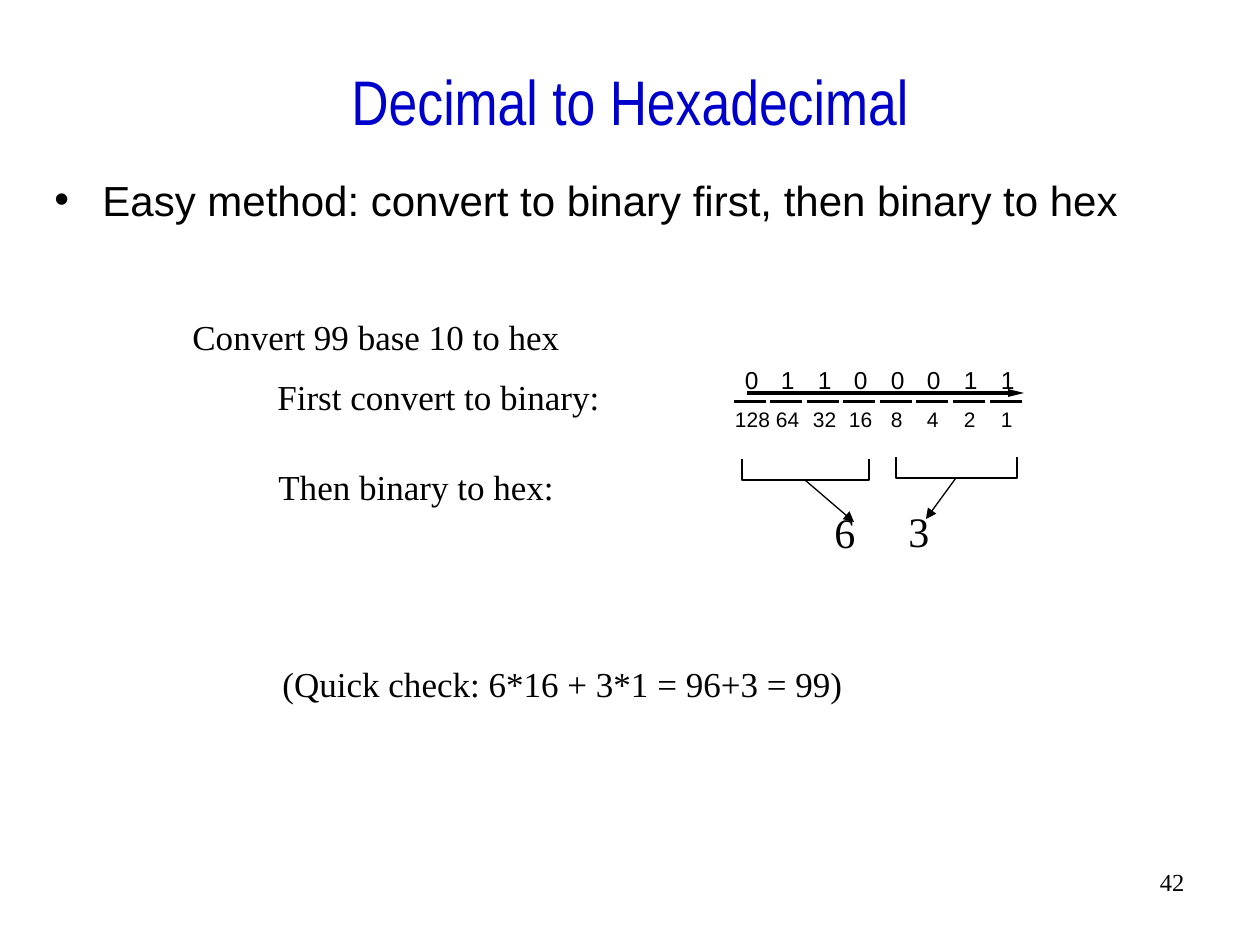
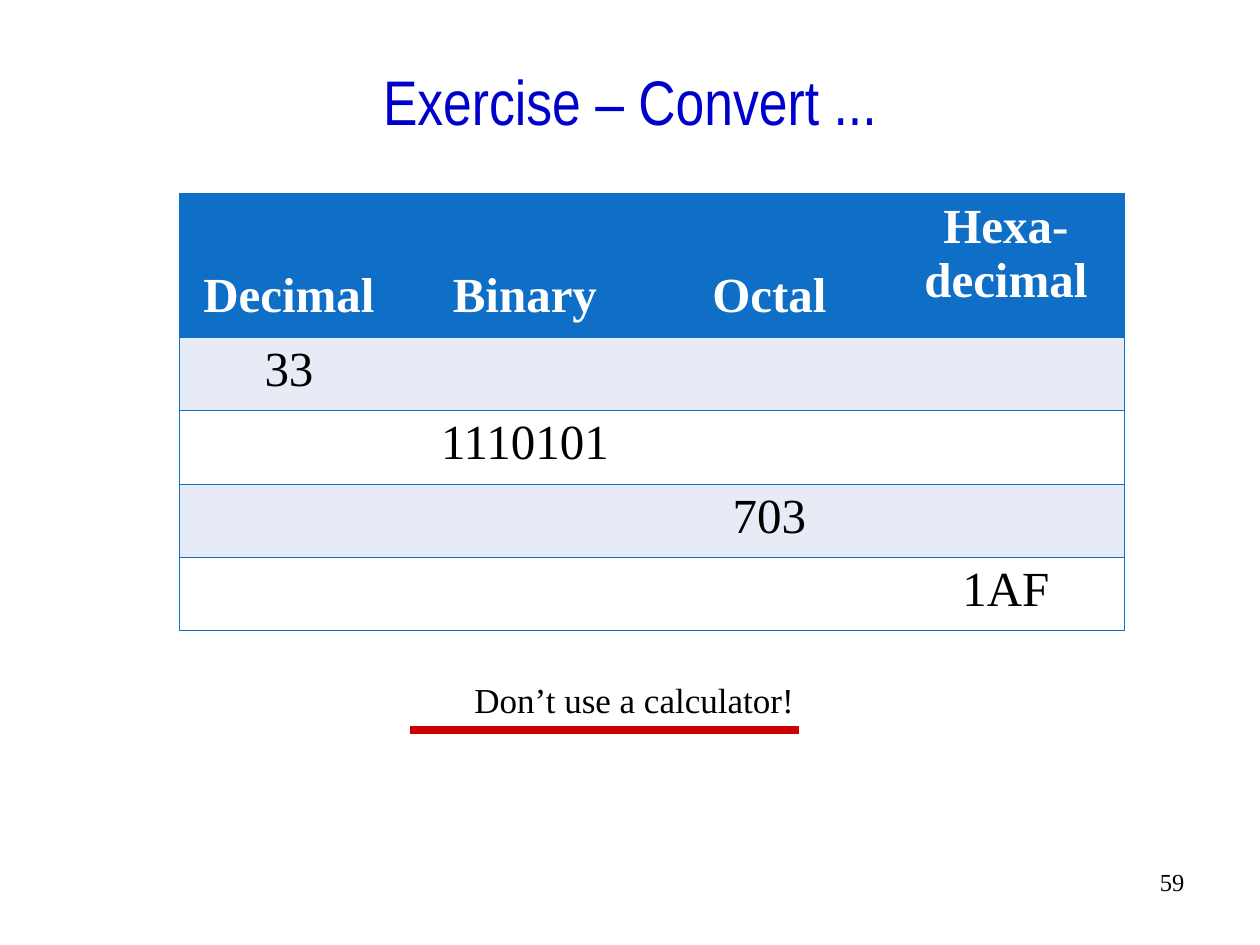
from lxml import etree
from pptx import Presentation
from pptx.dml.color import RGBColor
from pptx.enum.shapes import MSO_CONNECTOR
from pptx.enum.text import MSO_ANCHOR, MSO_AUTO_SIZE, PP_ALIGN
from pptx.oxml.ns import qn
from pptx.util import Emu, Pt

STRAIGHT = MSO_CONNECTOR.STRAIGHT
LEFT, CENTER, RIGHT = PP_ALIGN.LEFT, PP_ALIGN.CENTER, PP_ALIGN.RIGHT
MIDDLE, BOTTOM = MSO_ANCHOR.MIDDLE, MSO_ANCHOR.BOTTOM
FIT_SHAPE, NO_FIT = MSO_AUTO_SIZE.SHAPE_TO_FIT_TEXT, MSO_AUTO_SIZE.NONE

SCALE = 914400 / 126  # EMU in one px
TITLE_ONLY = 5
SERIF, SANS, NARROW = "Times New Roman", "Arial", "Arial Narrow"
COLORS = {
    "text": "000000",
    "title": "0000CC",
    "accent": "CC0000",
    "header": "0F6FC6",
    "header_text": "FFFFFF",
    "band": "E7EBF5",
    "plain": "FFFFFF",
}


def px(n):
    return Emu(round(n * SCALE))


def rgb(name):
    return RGBColor.from_string(COLORS[name])


class Deck:
    def __init__(self):
        self.prs = Presentation()
        self.prs.slide_width, self.prs.slide_height = px(1260), px(945)
        self.s = None

    def slide(self, title, number):
        self.s = self.prs.slides.add_slide(self.prs.slide_layouts[TITLE_ONLY])
        sp = self.s.shapes.title
        sp.left, sp.top, sp.width, sp.height = map(px, (21, 42, 1218, 116))
        tf = sp.text_frame
        tf.auto_size, tf.vertical_anchor = NO_FIT, MIDDLE
        self.add_runs(tf.paragraphs[0], title, 36, NARROW, "title", CENTER)
        self.text(str(number), 935, 861, 262, 63, 14, align=RIGHT, wrap=True)

    def add_runs(self, p, text, size, font=SERIF, color="text", align=LEFT, bold=False):
        """Add the text to a paragraph, one run for each line."""
        p.alignment = align
        for i, line in enumerate(text.split("\n")):
            if i:
                p.add_line_break()
            r = p.add_run()
            r.text = line
            r.font.size, r.font.name, r.font.bold = Pt(size), font, bold
            r.font.color.rgb = rgb(color)

    def text(self, text, x, y, w, h, size, font=SERIF, align=LEFT, wrap=False, inset=True):
        sp = self.s.shapes.add_textbox(px(x), px(y), px(w), px(h))
        tf = sp.text_frame
        tf.word_wrap = wrap
        tf.auto_size = NO_FIT if wrap else FIT_SHAPE
        if not inset:
            tf.margin_left = tf.margin_right = tf.margin_top = tf.margin_bottom = 0
        self.add_runs(tf.paragraphs[0], text, size, font, align=align)
        return sp

    def bullet(self, text, x, y, w, h):
        sp = self.text(text, x, y, w, h, 24, SANS, wrap=True)
        pPr = sp.text_frame.paragraphs[0]._p.get_or_add_pPr()
        pPr.set("marL", str(px(48)))
        pPr.set("indent", str(-px(48)))
        etree.SubElement(pPr, qn("a:buFont"), typeface=SANS)
        etree.SubElement(pPr, qn("a:buChar"), char="•")

    def line(self, x1, y1, x2, y2, width, color="text", arrow=False):
        c = self.s.shapes.add_connector(STRAIGHT, px(x1), px(y1), px(x2), px(y2))
        c.line.width = Pt(width)
        c.line.color.rgb = rgb(color)
        if arrow:
            ln = c._element.spPr.find(qn("a:ln"))
            etree.SubElement(ln, qn("a:tailEnd"), type="triangle")
        etree.SubElement(c._element.spPr, qn("a:effectLst"))

    def outline(self, points, filled):
        """Draw a filled polygon or an open thin line through the points."""
        fb = self.s.shapes.build_freeform(*points[0], scale=SCALE)
        fb.add_line_segments(points[1:], close=filled)
        sp = fb.convert_to_shape()
        sp.shadow.inherit = False
        if filled:
            sp.fill.solid()
            sp.fill.fore_color.rgb = rgb("text")
            sp.line.fill.background()
        else:
            sp.fill.background()
            sp.line.color.rgb = rgb("text")
            sp.line.width = Pt(0.75)

    def hex_digit(self, digit, x, y, bracket, tip):
        """Bracket four bits and point from them to their hex digit."""
        left, top, w, h = bracket
        right, bottom = left + w, top + h
        self.text(digit, x, y, 45, 63, 24)
        self.outline([(left, top), (left, bottom), (right, bottom), (right, top)], False)
        self.line(left + w // 2, bottom, *tip, 0.75, arrow=True)

    def table(self, rows, x, y, widths, heights):
        frame = self.s.shapes.add_table(len(rows), len(widths), px(x), px(y),
                                        px(sum(widths)), px(sum(heights)))
        tbl = frame.table
        tbl.first_row = tbl.horz_banding = False
        for col, w in zip(tbl.columns, widths):
            col.width = px(w)
        for row, h in zip(tbl.rows, heights):
            row.height = px(h)
        last = len(widths) - 1
        for i, values in enumerate(rows):
            fill = "header" if i == 0 else "band" if i % 2 else "plain"
            for j, value in enumerate(values):
                cell = tbl.cell(i, j)
                self.borders(cell, j == 0, j == last)
                cell.fill.solid()
                cell.fill.fore_color.rgb = rgb(fill)
                p = cell.text_frame.paragraphs[0]
                if i == 0:
                    self.add_runs(p, value, 28, SERIF, "header_text", CENTER, True)
                    if "\n" not in value:
                        cell.vertical_anchor, cell.margin_bottom = BOTTOM, px(14)
                elif value:
                    self.add_runs(p, value, 28, align=CENTER)

    def borders(self, cell, left, right):
        """Rule a cell above and below, and at the table's outer sides."""
        tcPr = cell._tc.get_or_add_tcPr()
        for side, shown in (("L", left), ("R", right), ("T", True), ("B", True)):
            ln = etree.SubElement(tcPr, qn(f"a:ln{side}"), w=str(Pt(0.45)))
            if shown:
                fill = etree.SubElement(ln, qn("a:solidFill"))
                etree.SubElement(fill, qn("a:srgbClr"), val=COLORS["header"])
            else:
                etree.SubElement(ln, qn("a:noFill"))


def decimal_to_hex(deck):
    deck.slide("Decimal to Hexadecimal", 42)
    deck.bullet("Easy method: convert to binary first, then binary to hex", 42, 168, 1155, 87)
    for text, x, y, w in (
        ("Convert 99 base 10 to hex", 180, 309, 392),
        ("First convert to binary:", 265, 369, 357),
        ("Then binary to hex:", 266, 459, 301),
        ("(Quick check: 6*16 + 3*1 = 96+3 = 99)", 270, 656, 585),
    ):
        deck.text(text, x, y, w, 55, 20)

    for i, bit in enumerate("01100011"):
        left = 734 + 256 * i // 7
        weight = str(2 ** (7 - i))
        digits = len(weight)
        deck.text(bit, left + 11, 365, 14, 29, 14, SANS, inset=False)
        deck.line(left, 402, left + 32, 402, 1.75)
        deck.text(weight, left + 16 - 5 * digits, 407, 12 * digits, 25, 12, SANS, inset=False)
    deck.line(747, 393, 1010, 393, 1.75)
    deck.outline([(1008, 397), (1024, 393), (1008, 389)], True)

    deck.hex_digit("6", 822, 500, (742, 459, 127, 21), (854, 522))
    deck.hex_digit("3", 896, 499, (896, 457, 121, 21), (926, 519))


def exercise(deck):
    deck.slide("Exercise – Convert ...", 59)
    deck.text("Don’t use a calculator!", 462, 672, 345, 55, 20)
    deck.line(410, 730, 799, 730, 4.5, "accent")
    deck.table([
        ["Decimal", "Binary", "Octal", "Hexa-\ndecimal"],
        ["33", "", "", ""],
        ["", "1110101", "", ""],
        ["", "", "703", ""],
        ["", "", "", "1AF"],
    ], 179, 193, [220, 252, 237, 236], [144] + [73, 74] * 2)


def main():
    deck = Deck()
    decimal_to_hex(deck)
    exercise(deck)
    deck.prs.save("out.pptx")


if __name__ == "__main__":
    main()
